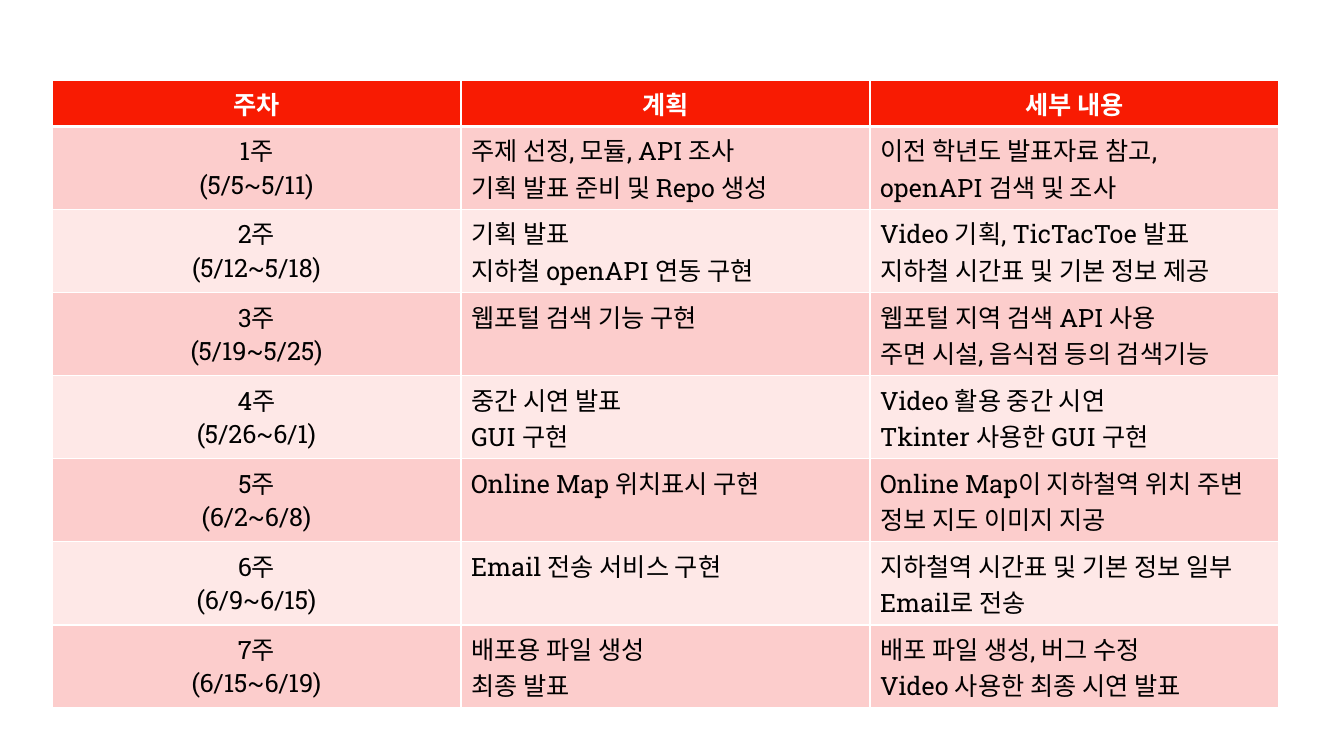
"""Build a weekly project plan slide with one table."""
from pptx import Presentation
from pptx import util as u
from pptx.dml.color import RGBColor
from pptx.enum import text
from pptx.oxml import ns, parse_xml

COLORS = {"header": "F81B02", "odd": "FCCDCC", "even": "FEE8E7",
          "white": "FFFFFF", "black": "000000"}
HEADER = ["주차", "계획", "세부 내용"]
WEEKS = [
    ("5/5~5/11", "주제 선정, 모듈, API 조사\n기획 발표 준비 및 Repo 생성",
     "이전 학년도 발표자료 참고,\nopenAPI 검색 및 조사"),
    ("5/12~5/18", "기획 발표\n지하철 openAPI 연동 구현",
     "Video 기획, TicTacToe 발표\n지하철 시간표 및 기본 정보 제공"),
    ("5/19~5/25", "웹포털 검색 기능 구현",
     "웹포털 지역 검색 API 사용\n주면 시설, 음식점 등의 검색기능"),
    ("5/26~6/1", "중간 시연 발표\nGUI 구현",
     "Video 활용 중간 시연\nTkinter 사용한 GUI 구현"),
    ("6/2~6/8", "Online Map 위치표시 구현",
     "Online Map이 지하철역 위치 주변 정보 지도 이미지 지공"),
    ("6/9~6/15", "Email 전송 서비스 구현",
     "지하철역 시간표 및 기본 정보 일부 Email로 전송"),
    ("6/15~6/19", "배포용 파일 생성\n최종 발표",
     "배포 파일 생성, 버그 수정\nVideo 사용한 최종 시연 발표"),
]


def px(n):
    """Turn px into EMU."""
    return u.Emu(round(n * 914400 / 100.8))


class Deck:
    """Hold the text style and the current slide."""

    font = {"name": "Roboto Slab", "size": u.Pt(18)}

    def __init__(self, prs):
        """Add a blank slide."""
        self.s = prs.slides.add_slide(prs.slide_layouts[6])

    def border(self, cell, widths):
        """Draw white borders with a width in points per side."""
        tcPr = cell._tc.get_or_add_tcPr()
        for side in "LRTB":
            tcPr.append(parse_xml(
                f'<a:ln{side} {ns.nsdecls("a")} w="{u.Pt(widths.get(side, 1))}">'
                f'<a:solidFill><a:srgbClr val="{COLORS["white"]}"/></a:solidFill>'
                f'</a:ln{side}>'))

    def cell(self, cell, words, fill, color, bold, centered, widths):
        """Fill and style one table cell."""
        self.border(cell, widths)
        cell.fill.solid()
        cell.fill.fore_color.rgb = RGBColor.from_string(COLORS[fill])
        cell.text_frame.text = words
        for p in cell.text_frame.paragraphs:
            p.alignment = text.PP_ALIGN.CENTER if centered else text.PP_ALIGN.LEFT
            for r in p.runs:
                for key, value in {**self.font, "bold": bold}.items():
                    setattr(r.font, key, value)
                r.font.color.rgb = RGBColor.from_string(COLORS[color])

    def table(self, rows, x, y, col_w, head_h, row_h):
        """Add a table with a header row and banded body rows."""
        n = len(rows[0])
        height = head_h + row_h * (len(rows) - 1)
        tbl = self.s.shapes.add_table(len(rows), n, px(x), px(y),
                                      px(col_w * n), px(height)).table
        for col in tbl.columns:
            col.width = px(col_w)
        for i, row in enumerate(rows):
            tbl.rows[i].height = px(row_h if i else head_h)
            fill = ("even", "odd")[i % 2] if i else "header"
            color = "black" if i else "white"
            widths = {0: {"B": 3}, 1: {"T": 3}}.get(i, {})
            for j, words in enumerate(row):
                self.cell(tbl.cell(i, j), words, fill, color, i == 0,
                          i == 0 or j == 0, widths)


def main():
    """Build and save the slide."""
    prs = Presentation()
    prs.slide_width, prs.slide_height = px(1344), px(756)
    body = [(f"{i}주\n({dates})", plan, detail)
            for i, (dates, plan, detail) in enumerate(WEEKS, 1)]
    Deck(prs).table([HEADER, *body], 52, 80, 409, 38, 75)
    prs.save("out.pptx")


if __name__ == "__main__":
    main()
